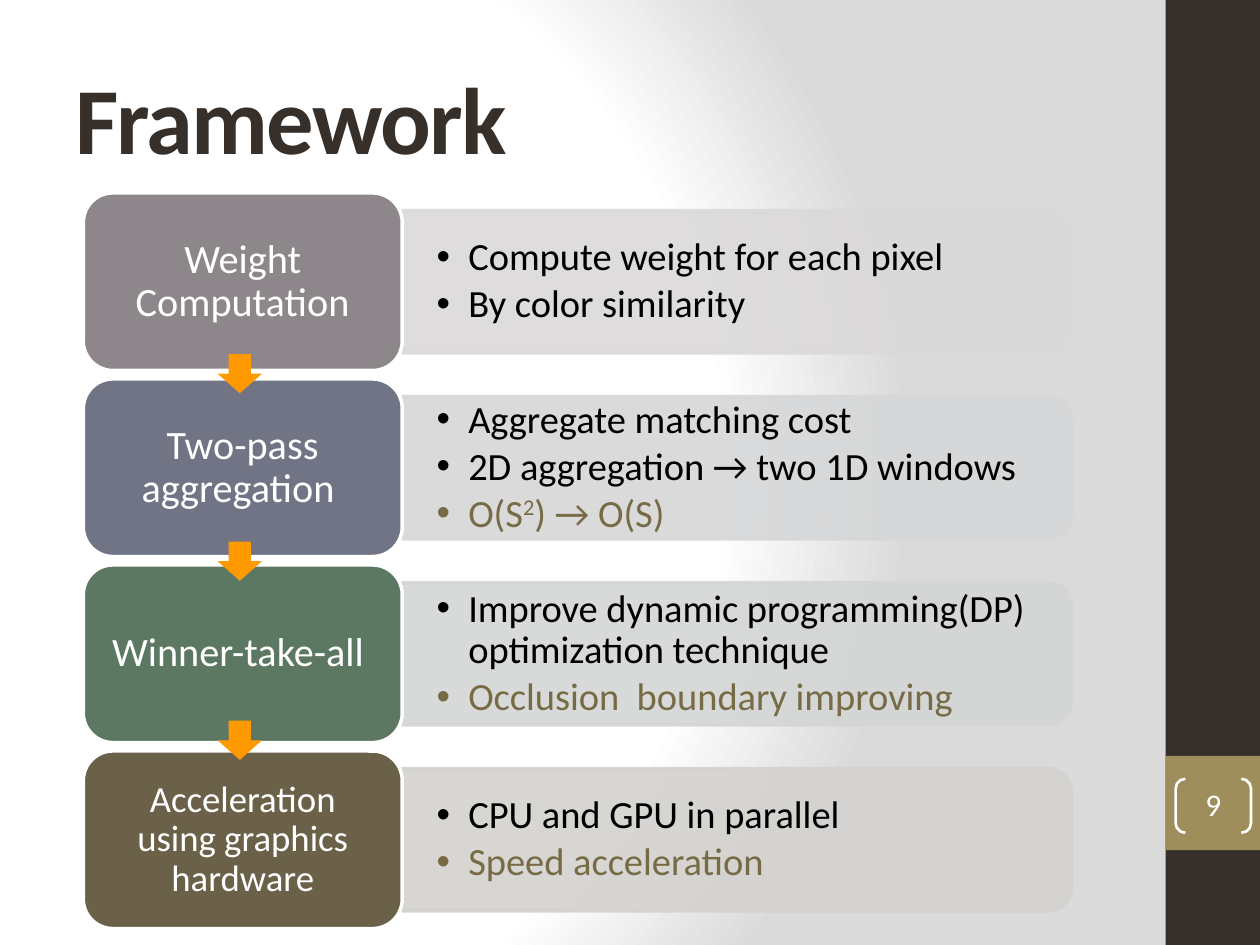
import pptx
import pptx.util
import pptx.oxml
import pptx.oxml.ns
import pptx.dml.color
import pptx.enum.shapes
import pptx.enum.text
from dataclasses import dataclass
from lxml import etree

Cm = pptx.util.Cm
Pt = pptx.util.Pt
KIND = pptx.enum.shapes.MSO_SHAPE
ALIGN = pptx.enum.text.PP_ALIGN
MID = pptx.enum.text.MSO_ANCHOR.MIDDLE


@dataclass
class Theme:
    face: str = "Calibri"
    dark: str = "37302A"
    gold: str = "9E8E5C"
    white: str = "FFFFFF"
    gray: str = "DADADA"
    black: str = "000000"
    olive: str = "766B45"
    arrow: str = "FF9900"
    title: int = 54
    item: int = 22
    step: int = 23
    small: int = 21
    page: int = 18


LOOK = Theme()
TITLE = "Framework"
PAGE = "9"
STEPS = [
    ("Weight Computation", LOOK.step, "8D878B", "DBD9DA", [
        [("Compute weight for each pixel", LOOK.black, 0)],
        [("By color similarity", LOOK.black, 0)]]),
    ("Two-pass aggregation ", LOOK.step, "707484", "D6D7D8", [
        [("Aggregate matching cost", LOOK.black, 0)],
        [("2D aggregation → two 1D windows", LOOK.black, 0)],
        [("O(S", LOOK.olive, 0), ("2", LOOK.olive, 30),
         (") → O(S)", LOOK.olive, 0)]]),
    ("Winner-take-all ", LOOK.step, "5C7863", "D3D6D4", [
        [("Improve dynamic programming(DP) optimization technique",
          LOOK.black, 0)],
        [("Occlusion  boundary improving", LOOK.olive, 0)]]),
    ("Acceleration using graphics hardware", LOOK.small, "6B6149", "D4D2CF", [
        [("CPU and GPU in parallel", LOOK.black, 0)],
        [("Speed acceleration", LOOK.olive, 0)]]),
]
ARROWS = [7.14, 10.92, 14.53]

FIRST, PITCH = 5.68, 3.75
BOX_X, BOX_W, BOX_H = 1.68, 6.43, 3.58
BAR_W, BAR_H = 13.49, 2.87
LIST_W, LIST_H = 13.34, 2.59
BAR_X = BOX_X + BOX_W


def tint(hue):
    return pptx.dml.color.RGBColor.from_string(hue)


def place(item, x, y, w, h):
    item.left, item.top, item.width, item.height = Cm(x), Cm(y), Cm(w), Cm(h)


def frame(item, side, edge):
    body = item.text_frame
    body.auto_size = pptx.enum.text.MSO_AUTO_SIZE.NONE
    body.word_wrap = True
    body.vertical_anchor = MID
    body.margin_left = body.margin_right = Cm(side)
    body.margin_top = body.margin_bottom = Cm(edge)
    return body


def write(para, text, size, hue, bold=False):
    run = para.add_run()
    run.text = text
    font = run.font
    font.name, font.size, font.bold = LOOK.face, Pt(size), bold
    font.color.rgb = tint(hue)
    return run


def draw(slide, kind, x, y, w, h, fill=None, line=None, width=2):
    item = slide.shapes.add_shape(kind, Cm(x), Cm(y), Cm(w), Cm(h))
    item.shadow.inherit = False
    if fill:
        item.fill.solid()
        item.fill.fore_color.rgb = tint(fill)
    else:
        item.fill.background()
    if line:
        item.line.color.rgb = tint(line)
        item.line.width = Pt(width)
    else:
        item.line.fill.background()
    return item


def label(item, text, size, side, edge):
    para = frame(item, side, edge).paragraphs[0]
    para.alignment = ALIGN.CENTER
    para.line_spacing = 0.9
    write(para, text, size, LOOK.white)


def fade(item):
    tag = pptx.oxml.ns.qn("a:alpha")
    for hue in item.element.spPr.iter(pptx.oxml.ns.qn("a:srgbClr")):
        etree.SubElement(hue, tag).set("val", "90000")


def shade(slide):
    stops = [(0, LOOK.white), (75, LOOK.white), (100, LOOK.gray)]
    marks = "".join(
        f'<a:gs pos="{pos * 1000}"><a:srgbClr val="{hue}"/></a:gs>'
        for pos, hue in stops)
    slide.element.cSld.insert(0, pptx.oxml.parse_xml(
        f'<p:bg {pptx.oxml.ns.nsdecls("p", "a")}><p:bgPr><a:gradFill>'
        f'<a:gsLst>{marks}</a:gsLst><a:path path="circle">'
        '<a:fillToRect l="20000" t="50000" r="100000" b="50000"/></a:path>'
        '</a:gradFill><a:effectLst/></p:bgPr></p:bg>'))


def points(holder, items):
    body = frame(holder, 0.69, 0.36)
    for num, runs in enumerate(items):
        para = body.add_paragraph() if num else body.paragraphs[0]
        para.line_spacing = 0.9
        para.space_before, para.space_after = Pt(0), Pt(3)
        props = para._p.get_or_add_pPr()
        props.set("marL", str(Cm(0.64)))
        props.set("indent", str(-Cm(0.64)))
        mark = etree.SubElement(props, pptx.oxml.ns.qn("a:buChar"))
        mark.set("char", "•")
        for text, hue, lift in runs:
            run = write(para, text, LOOK.item, hue)
            if lift:
                run.font._element.set("baseline", str(lift * 1000))


def row(slide, num, step, holder):
    name, size, fill, pale, items = step
    mid = FIRST + num * PITCH
    bar = draw(slide, KIND.ROUND_2_SAME_RECTANGLE,
               BAR_X + (BAR_W - BAR_H) / 2, mid - BAR_W / 2,
               BAR_H, BAR_W, pale, pale)
    bar.rotation = 90
    fade(bar)
    bar.element.addnext(holder.element)
    place(holder, BAR_X, mid - LIST_H / 2, LIST_W, LIST_H)
    points(holder, items)
    box = draw(slide, KIND.ROUNDED_RECTANGLE, BOX_X, mid - BOX_H / 2,
               BOX_W, BOX_H, fill, LOOK.white)
    label(box, name, size, 0.4, 0.3)


def main():
    deck = pptx.Presentation()
    deck.slide_width, deck.slide_height = Cm(25.4), Cm(19.05)
    slide = deck.slides.add_slide(deck.slide_layouts.get_by_name("Comparison"))
    shade(slide)
    head, *lists = slide.placeholders
    draw(slide, KIND.RECTANGLE, 23.5, 0, 1.9, 19.05, LOOK.dark)
    draw(slide, KIND.RECTANGLE, 23.5, 15.24, 1.9, 1.9, LOOK.gold)

    place(head, 1.27, 0.76, 21.16, 3.18)
    para = frame(head, 0.25, 0.13).paragraphs[0]
    para.alignment = ALIGN.LEFT
    run = write(para, TITLE, LOOK.title, LOOK.dark, True)
    run.font._element.set("spc", "-100")

    page = draw(slide, KIND.DOUBLE_BRACKET, 23.7, 15.7, 1.52, 1.09,
                line=LOOK.white, width=1.5)
    page.adjustments[0] = 0.18
    label(page, PAGE, LOOK.page, 0, 0)

    for num, (step, holder) in enumerate(zip(STEPS, lists)):
        row(slide, num, step, holder)
    for top in ARROWS:
        draw(slide, KIND.DOWN_ARROW, 4.39, top, 0.89, 0.79, LOOK.arrow)
    deck.save("out.pptx")


if __name__ == "__main__":
    main()
